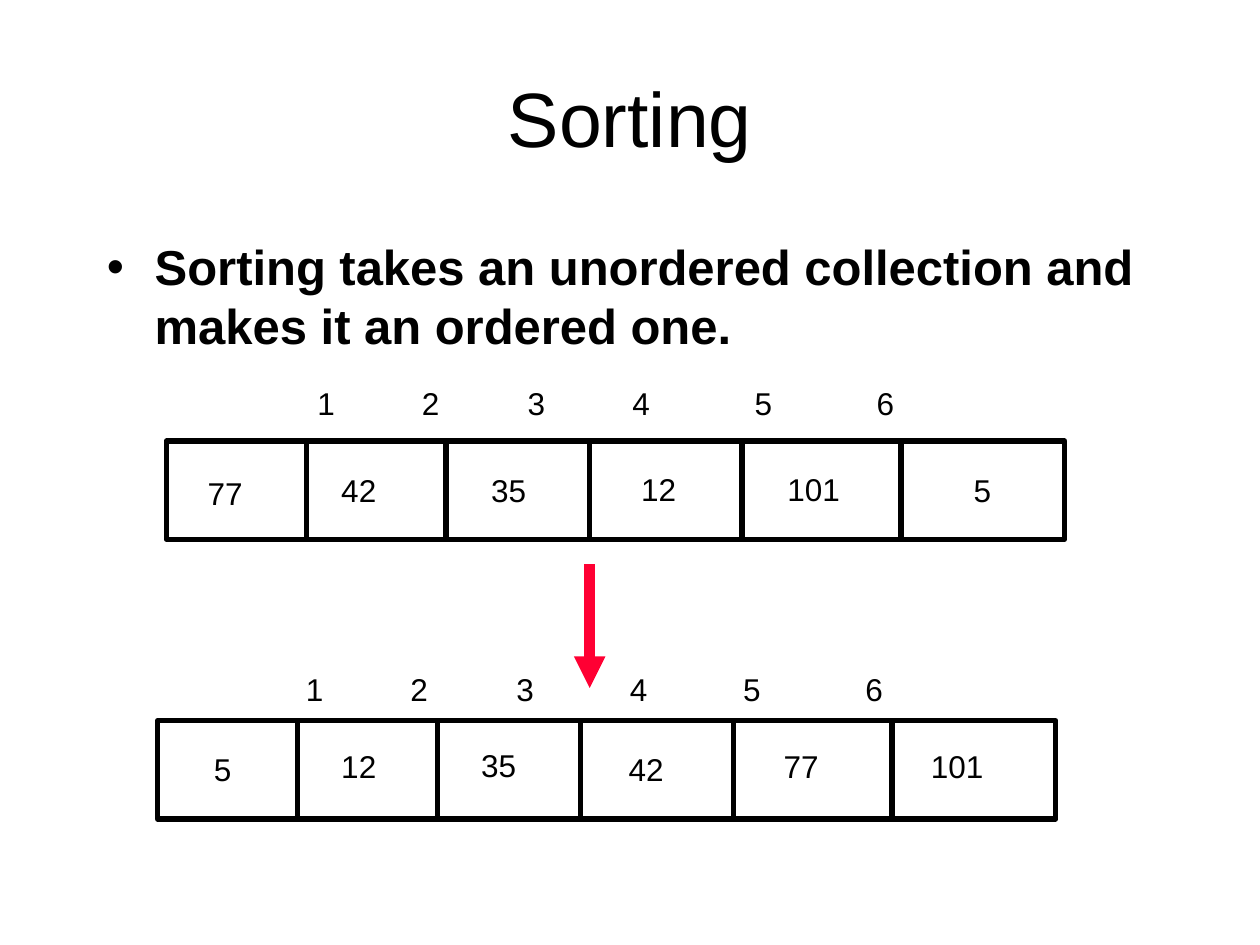
from dataclasses import dataclass

from lxml import etree
from pptx import Presentation
from pptx.dml.color import RGBColor
from pptx.enum.shapes import MSO_CONNECTOR, MSO_SHAPE
from pptx.enum.text import MSO_ANCHOR, PP_ALIGN
from pptx.oxml.ns import qn
from pptx.util import Inches, Pt

STRAIGHT = MSO_CONNECTOR.STRAIGHT
RECTANGLE = MSO_SHAPE.RECTANGLE
TOP, MIDDLE = MSO_ANCHOR.TOP, MSO_ANCHOR.MIDDLE
LEFT, CENTER = PP_ALIGN.LEFT, PP_ALIGN.CENTER

COLORS = {"ink": "000000", "arrow": "FF0033"}
FONT = "Arial"
ROW_WIDTH, ROW_HEIGHT = 7.13, 0.78
DIVIDERS = (1.11, 2.22, 3.36, 4.57, 5.83)  # from the left edge of a row
LABEL_HEIGHT = 0.4
LABEL_WIDTHS = {1: 0.34, 2: 0.48, 3: 0.62}  # by number of digits


@dataclass(frozen=True)
class Value:
    text: str
    left: float
    top: float


@dataclass(frozen=True)
class ArrayRow:
    left: float
    top: float
    values: tuple[Value, ...]
    index_left: float
    index_top: float
    index_stops: tuple[float, ...]  # from the first index


UNSORTED = ArrayRow(
    1.32, 3.5,
    (Value("77", 1.55, 3.71), Value("42", 2.61, 3.69), Value("35", 3.8, 3.69),
     Value("12", 4.99, 3.68), Value("101", 6.15, 3.68), Value("5", 7.63, 3.69)),
    2.42, 3.0, (0.83, 1.67, 2.5, 3.47, 4.44),
)
SORTED = ArrayRow(
    1.25, 5.72,
    (Value("5", 1.6, 5.9), Value("12", 2.61, 5.88), Value("35", 3.72, 5.87),
     Value("42", 4.89, 5.9), Value("77", 6.12, 5.88), Value("101", 7.29, 5.88)),
    2.33, 5.27, (0.83, 1.67, 2.57, 3.47, 4.44),
)


def add_text(shapes, text: str, left: float, top: float, width: float, height: float,
             size: int = 18, bold: bool = False, wrap: bool = True,
             align=LEFT, anchor=TOP):
    """Add a one-paragraph text box and return the paragraph."""
    box = shapes.add_textbox(Inches(left), Inches(top), Inches(width), Inches(height))
    frame = box.text_frame
    frame.word_wrap = wrap
    frame.vertical_anchor = anchor
    paragraph = frame.paragraphs[0]
    paragraph.alignment = align
    run = paragraph.add_run()
    run.text = text
    run.font.name = FONT
    run.font.size = Pt(size)
    run.font.bold = bold
    run.font.color.rgb = RGBColor.from_string(COLORS["ink"])
    return paragraph


def add_line(shapes, x1: float, y1: float, x2: float, y2: float,
             color: str = "ink", weight: int = 3):
    line = shapes.add_connector(STRAIGHT, Inches(x1), Inches(y1), Inches(x2), Inches(y2))
    line.line.color.rgb = RGBColor.from_string(COLORS[color])
    line.line.width = Pt(weight)
    etree.SubElement(line._element.spPr, qn("a:effectLst"))
    return line


def add_bullet(paragraph, indent: float) -> None:
    properties = paragraph._p.get_or_add_pPr()
    properties.set("marL", str(Inches(indent)))
    properties.set("indent", str(-Inches(indent)))
    etree.SubElement(properties, qn("a:buFont"), typeface=FONT)
    etree.SubElement(properties, qn("a:buChar"), char="•")


def add_tab_stops(paragraph, stops: tuple[float, ...]) -> None:
    tabs = etree.SubElement(paragraph._p.get_or_add_pPr(), qn("a:tabLst"))
    for stop in stops:
        etree.SubElement(tabs, qn("a:tab"), pos=str(Inches(stop)), algn="l")


def add_array_row(slide, row: ArrayRow) -> None:
    # Frame, dividers and values belong together
    shapes = slide.shapes.add_group_shape().shapes
    frame = shapes.add_shape(RECTANGLE, Inches(row.left), Inches(row.top),
                             Inches(ROW_WIDTH), Inches(ROW_HEIGHT))
    frame.shadow.inherit = False
    frame.fill.background()
    frame.line.color.rgb = RGBColor.from_string(COLORS["ink"])
    frame.line.width = Pt(3)
    for offset in DIVIDERS:
        x = row.left + offset
        add_line(shapes, x, row.top, x, row.top + ROW_HEIGHT)
    for value in row.values:
        add_text(shapes, value.text, value.left, value.top,
                 LABEL_WIDTHS[len(value.text)], LABEL_HEIGHT, wrap=False)

    # Index numbers above the row
    indexes = "\t".join(str(i + 1) for i in range(len(row.values)))
    index_line = add_text(slide.shapes, indexes, row.index_left, row.index_top,
                          4.9, LABEL_HEIGHT)
    add_tab_stops(index_line, row.index_stops)


def main() -> None:
    deck = Presentation()
    deck.slide_width, deck.slide_height = Inches(10), Inches(7.5)
    slide = deck.slides.add_slide(deck.slide_layouts[6])

    # Title and statement
    add_text(slide.shapes, "Sorting", 0.5, 0.3, 9, 1.25, size=44,
             align=CENTER, anchor=MIDDLE)
    statement = add_text(
        slide.shapes, "Sorting takes an unordered collection and makes it an ordered one.",
        0.75, 1.83, 8.5, 4.83, size=28, bold=True)
    statement.space_before = Pt(7)
    add_bullet(statement, 0.38)

    # Array before and after sorting
    for row in (UNSORTED, SORTED):
        add_array_row(slide, row)

    # Arrow from the unsorted to the sorted array
    arrow = add_line(slide.shapes, 4.68, 4.48, 4.68, 5.46, "arrow", 6)
    etree.SubElement(arrow.line._get_or_add_ln(), qn("a:tailEnd"), type="triangle")

    deck.save("out.pptx")


if __name__ == "__main__":
    main()
